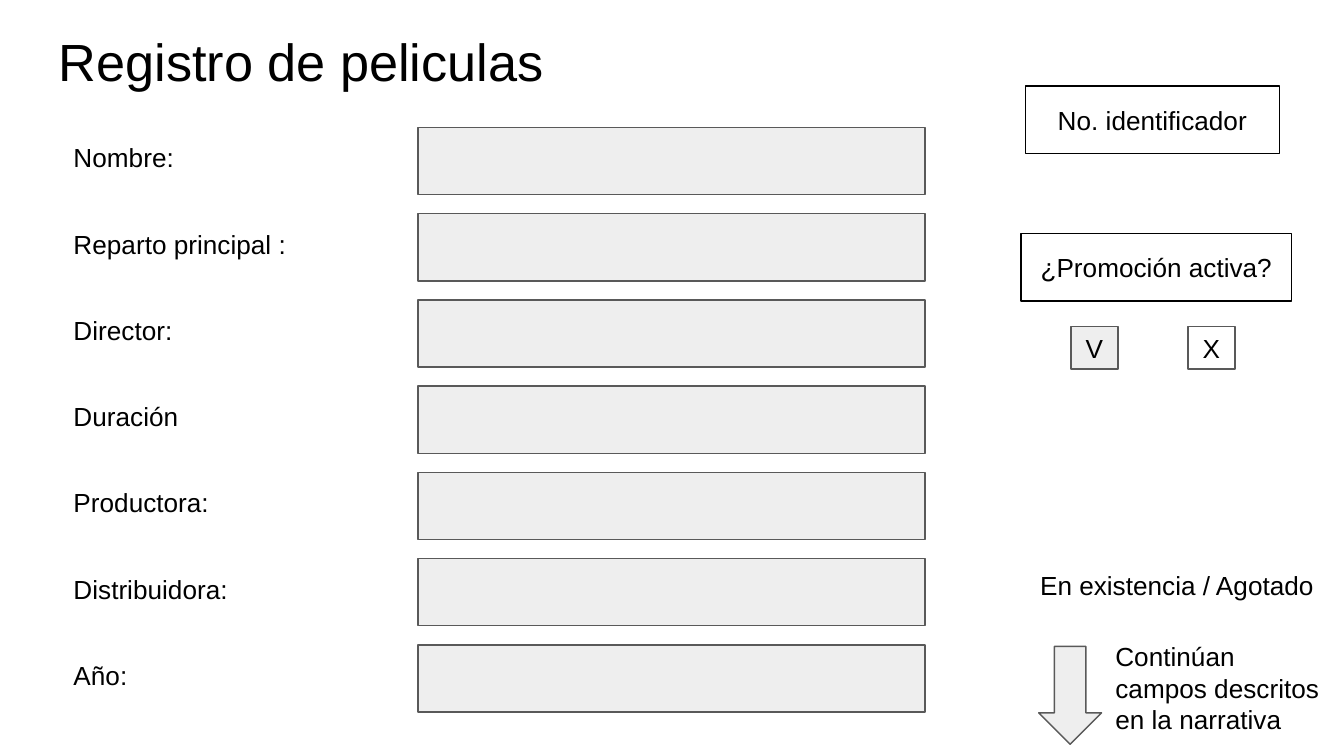
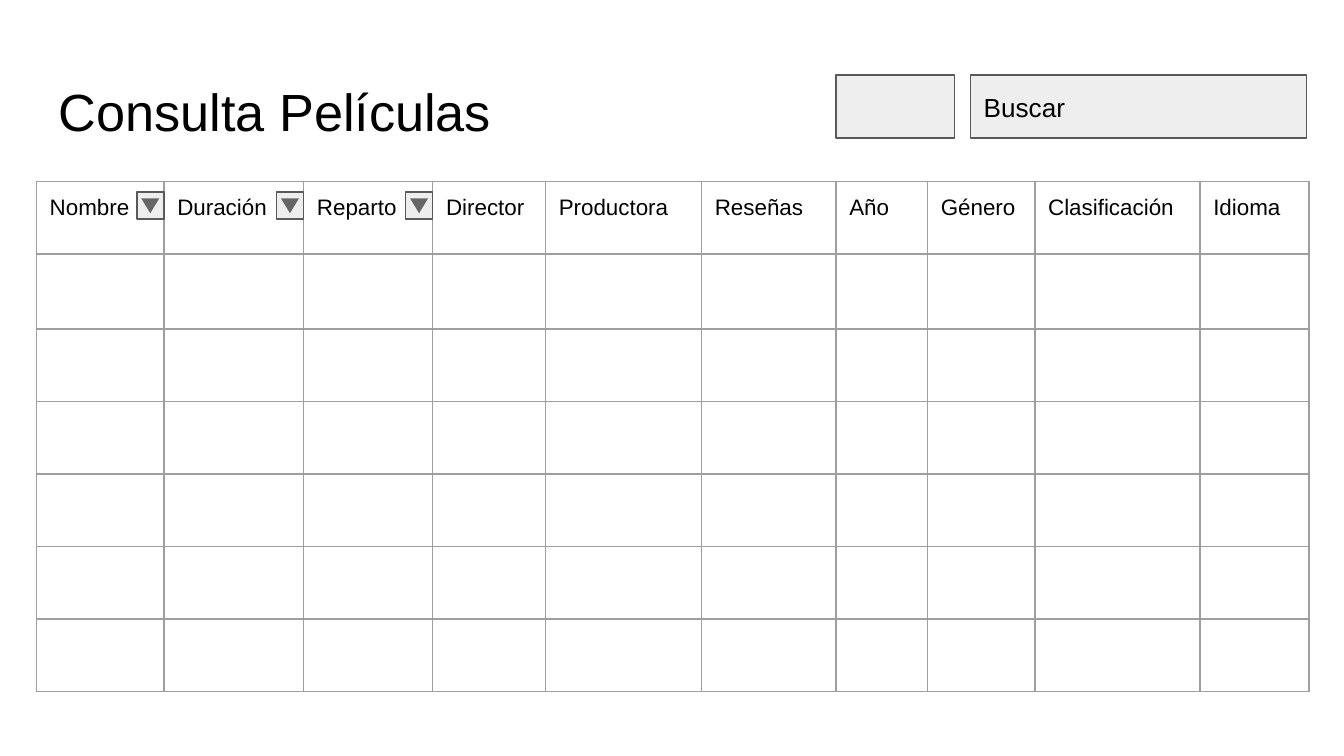
import pptx
import pptx.dml.color
import pptx.enum.shapes
import pptx.enum.text
import pptx.oxml
import pptx.oxml.ns
import pptx.util

Cm = pptx.util.Cm
Pt = pptx.util.Pt
SHAPE = pptx.enum.shapes.MSO_SHAPE
ANCHOR = pptx.enum.text.MSO_ANCHOR
ALIGN = pptx.enum.text.PP_ALIGN
COLORS = {"text": "000000", "field": "EEEEEE", "edge": "595959",
          "white": "FFFFFF", "grid": "9E9E9E", "marker": "666666"}
INSET = Cm(0.25)
FIELDS = ["Nombre:", "Reparto principal :", "Director:", "Duración",
          "Productora:", "Distribuidora:", "Año:"]
COLUMNS = {"Nombre": 2.41, "Duración": 2.64, "Reparto": 2.44, "Director": 2.13,
           "Productora": 2.95, "Reseñas": 2.54, "Año": 1.73, "Género": 2.03,
           "Clasificación": 3.12, "Idioma": 2.06}
ROWS = [1.37, 1.42] + [1.37] * 5


def rgb(name):
    """Return the named colour."""
    return pptx.dml.color.RGBColor.from_string(COLORS[name])


def write(tf, text, size=14, align=ALIGN.LEFT, anchor=ANCHOR.TOP):
    """Put formatted text into a text frame."""
    tf.word_wrap = True
    tf.auto_size = pptx.enum.text.MSO_AUTO_SIZE.NONE
    tf.vertical_anchor = anchor
    tf.margin_left = tf.margin_right = tf.margin_top = tf.margin_bottom = INSET
    p = tf.paragraphs[0]
    p.alignment = align
    r = p.add_run()
    r.text = text
    r.font.name = "Arial"
    r.font.size = Pt(size)
    r.font.color.rgb = rgb("text")


class Deck:
    """Hold the presentation, its style and the current slide."""

    def __init__(self):
        """Start an empty widescreen presentation."""
        self.prs = pptx.Presentation()
        self.prs.slide_width = Cm(25.4)
        self.prs.slide_height = Cm(14.29)
        self.s = None

    def slide(self, title, top, width):
        """Add a slide with its title."""
        self.s = self.prs.slides.add_slide(self.prs.slide_layouts[5])
        sp = self.s.shapes.title
        sp.left, sp.top, sp.width, sp.height = Cm(0.86), Cm(top), Cm(width), Cm(1.6)
        write(sp.text_frame, title, size=28)

    def text(self, text, x, y, w, h, **fmt):
        """Add a text box."""
        sp = self.s.shapes.add_textbox(Cm(x), Cm(y), Cm(w), Cm(h))
        write(sp.text_frame, text, **fmt)

    def shape(self, x, y, w, h, kind=SHAPE.RECTANGLE, fill="field", line="edge",
              text="", align=ALIGN.CENTER, parent=None):
        """Add a preset shape, with optional text."""
        shapes = (parent or self.s).shapes
        sp = shapes.add_shape(kind, Cm(x), Cm(y), Cm(w), Cm(h))
        sp.shadow.inherit = False
        if fill:
            sp.fill.solid()
            sp.fill.fore_color.rgb = rgb(fill)
        else:
            sp.fill.background()
        if line:
            sp.line.color.rgb = rgb(line)
            sp.line.width = Pt(0.75)
        else:
            sp.line.fill.background()
        if text:
            write(sp.text_frame, text, align=align, anchor=ANCHOR.MIDDLE)
        return sp

    def filter_button(self, x, y):
        """Add a grouped drop-down button."""
        group = self.s.shapes.add_group_shape()
        self.shape(x, y, 0.51, 0.51, parent=group)
        sp = self.shape(x + 0.08, y + 0.12, 0.34, 0.28, SHAPE.ISOSCELES_TRIANGLE,
                        fill="marker", line=None, parent=group)
        sp.rotation = 180

    def border(self, cell):
        """Draw the four borders of a table cell."""
        tcPr = cell._tc.get_or_add_tcPr()
        for i, side in enumerate(("lnL", "lnR", "lnT", "lnB")):
            tcPr.insert(i, pptx.oxml.parse_xml(
                f'<a:{side} {pptx.oxml.ns.nsdecls("a")} w="{Pt(0.75)}"><a:solidFill>'
                f'<a:srgbClr val="{COLORS["grid"]}"/></a:solidFill></a:{side}>'))

    def table(self, x, y, columns, rows):
        """Add a bordered table with headings and empty rows."""
        table = self.s.shapes.add_table(
            len(rows), len(columns), Cm(x), Cm(y),
            Cm(sum(columns.values())), Cm(sum(rows))).table
        table.first_row = table.horz_banding = False
        for row, height in zip(table.rows, rows):
            row.height = Cm(height)
        for i, (heading, width) in enumerate(columns.items()):
            table.columns[i].width = Cm(width)
            cell = table.cell(0, i)
            write(cell.text_frame, heading, size=12)
            cell.margin_left = cell.margin_right = INSET
            cell.margin_top = cell.margin_bottom = INSET
        for cell in table.iter_cells():
            cell.fill.background()
            self.border(cell)


def register(deck):
    """Build the film registration form."""
    deck.slide("Registro de peliculas", 0.3, 23.67)
    for i, label in enumerate(FIELDS):
        y = 2.41 + i * 1.63
        deck.shape(7.9, y, 9.58, 1.27)
        deck.text(label, 1.14, y + 0.02, 5.92, 1.27)
    deck.shape(19.63, 12.22, 1.19, 1.85, SHAPE.DOWN_ARROW)
    deck.text("Continúan campos descritos en la narrativa", 20.83, 11.86, 4.57, 2.31)
    deck.shape(19.38, 1.63, 4.8, 1.27, fill=None, line="text", text="No. identificador")
    deck.shape(19.3, 4.42, 5.11, 1.27, fill=None, line="text", text="¿Promoción activa?")
    deck.shape(20.24, 6.17, 0.89, 0.81, text="V")
    deck.shape(22.45, 6.17, 0.89, 0.81, fill="white", text="X")
    deck.text("En existencia / Agotado", 19.3, 10.49, 5.89, 1.12,
              align=ALIGN.CENTER, anchor=ANCHOR.MIDDLE)


def search(deck):
    """Build the film search table."""
    deck.slide("Consulta Películas", 1.24, 10.36)
    deck.table(0.69, 3.43, COLUMNS, ROWS)
    deck.shape(18.34, 1.42, 6.35, 1.19, text="Buscar", align=ALIGN.LEFT)
    deck.shape(15.8, 1.42, 2.24, 1.19)
    right = 0.69
    for width in list(COLUMNS.values())[:3]:
        right += width
        deck.filter_button(right - 0.51, 3.63)


def main():
    """Build and save the presentation."""
    deck = Deck()
    register(deck)
    search(deck)
    deck.prs.save("out.pptx")


if __name__ == "__main__":
    main()
